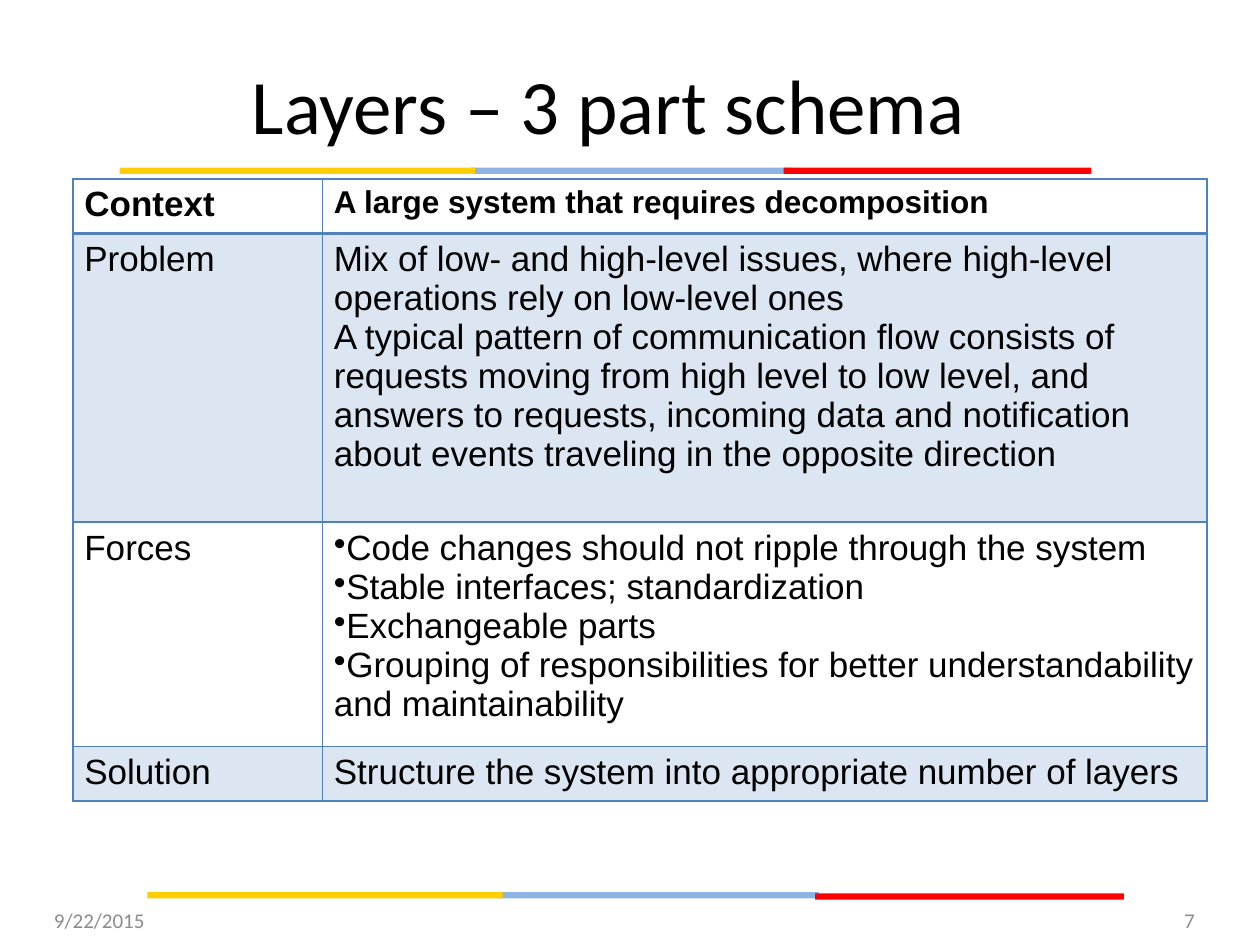
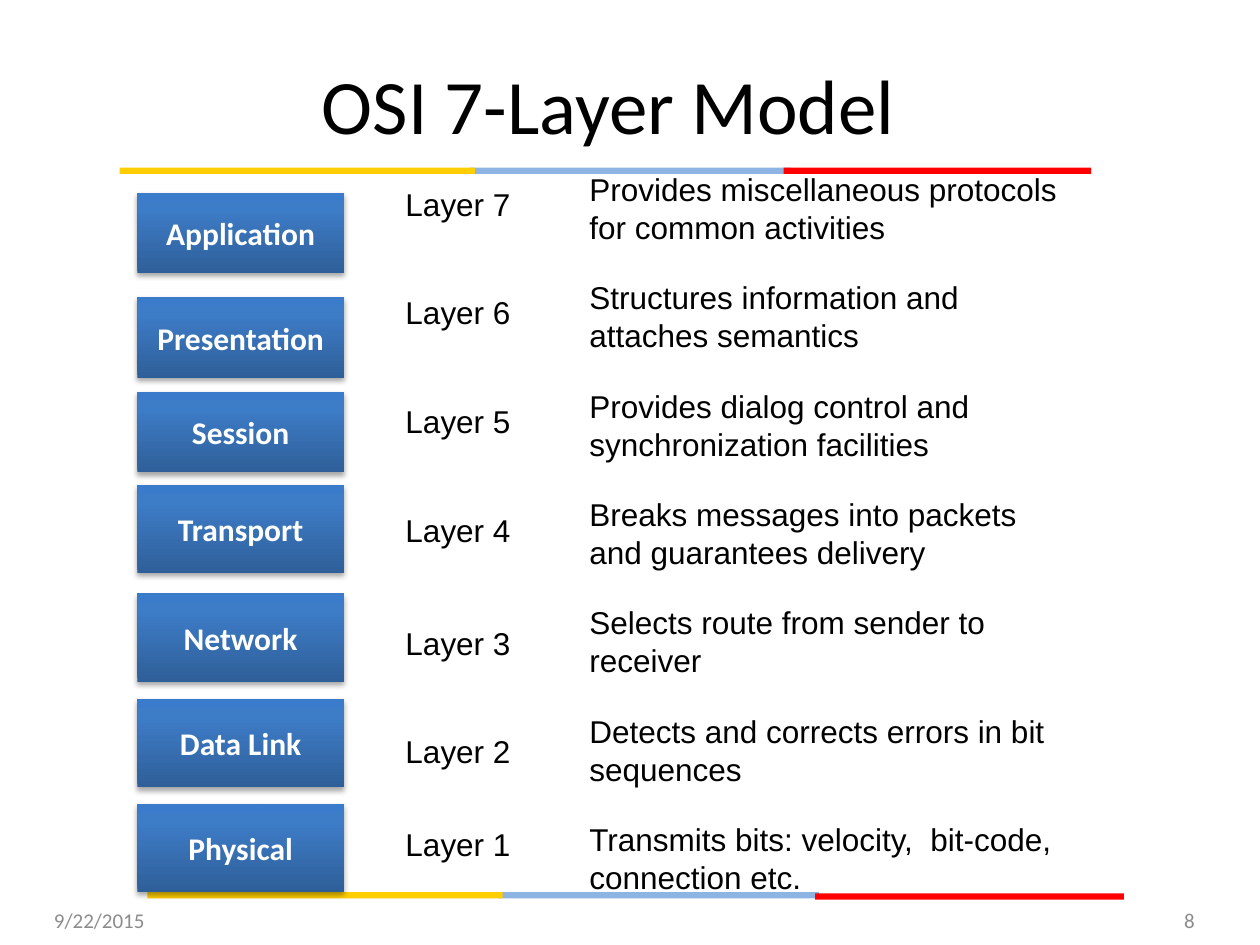
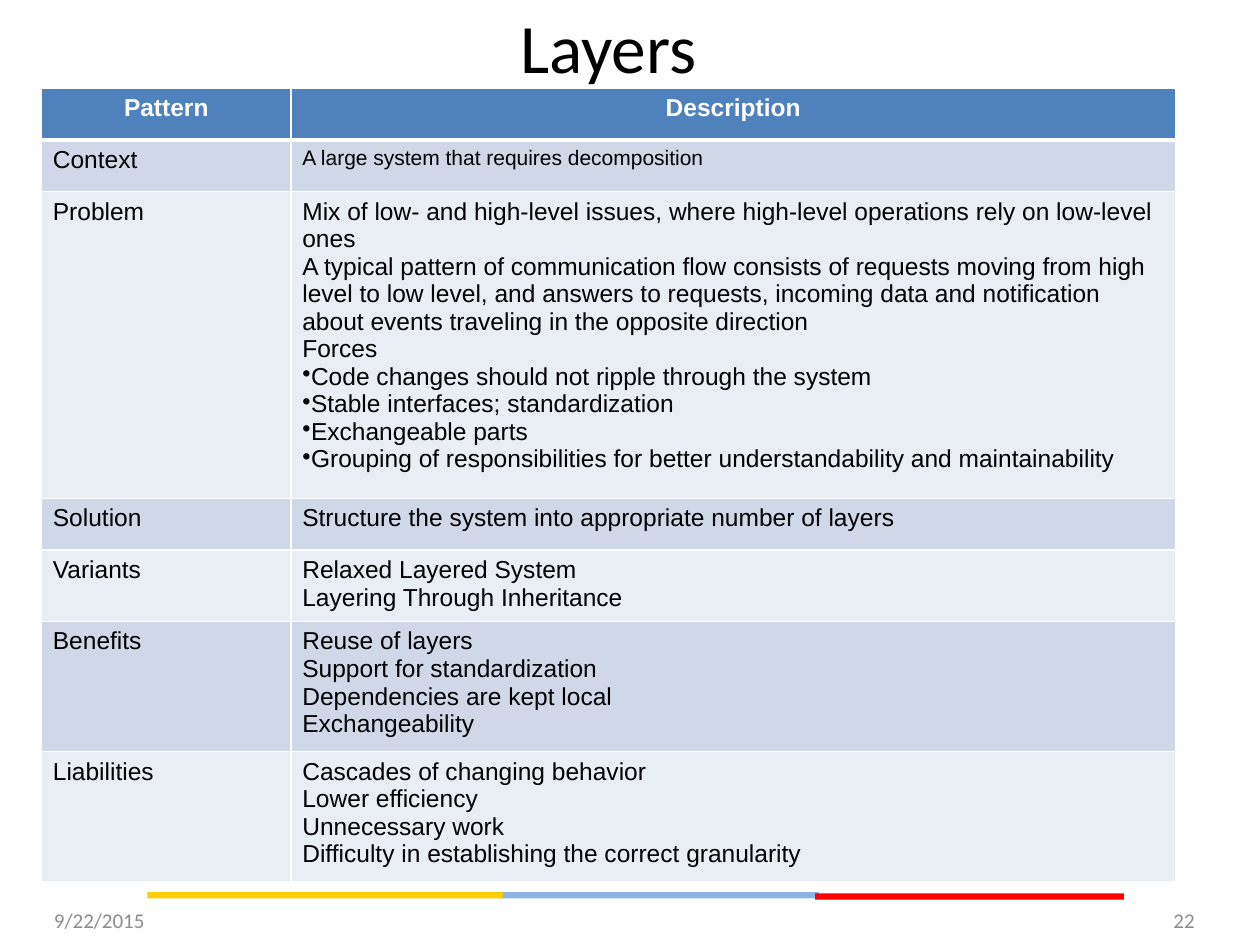
"""Build three slides on the Layers pattern and the OSI model."""
from pptx import Presentation
from pptx import util as u
from pptx.dml.color import RGBColor
from pptx.enum import shapes, text
from pptx.oxml import parse_xml
from pptx.oxml.ns import nsdecls

PX = 9144
COLORS = {
    "black": "000000", "white": "FFFFFF", "gray": "8C8C8C",
    "yellow": "FFCE00", "sky": "8EB4E3", "red": "FF0000",
    "blue": "4F81BD", "tint": "DCE6F2", "band": "D0D8E8", "pale": "E9EDF4",
    "dark": "2F5F99", "middle": "3D7CC7", "light": "3A7CCB",
}
ALIGN = text.PP_ALIGN
MIDDLE = text.MSO_ANCHOR.MIDDLE
TITLE = {"name": "Calibri", "size": 44, "align": ALIGN.CENTER}
FOOTER = {"name": "Calibri", "size": 12, "color": "gray"}
BODY = {"name": "Arial", "size": 18}
LAYER = {"name": "Calibri", "size": 18, "bold": True, "color": "white", "align": ALIGN.CENTER}

TOP_BAND = [("sky", 373, 133, 255), ("red", 622, 133, 244), ("yellow", 95, 133, 282)]
BOTTOM_BAND = [("sky", 395, 708, 255), ("red", 647, 709, 245), ("yellow", 117, 708, 282)]

CONTEXT = "A large system that requires decomposition"
PROBLEM = [
    "Mix of low- and high-level issues, where high-level operations rely on low-level ones",
    "A typical pattern of communication flow consists of requests moving from high level to low level, "
    "and answers to requests, incoming data and notification about events traveling in the opposite direction",
]
FORCES = [
    "•Code changes should not ripple through the system",
    "•Stable interfaces; standardization",
    "•Exchangeable parts",
    "•Grouping of responsibilities for better understandability and maintainability",
]
SOLUTION = "Structure the system into appropriate number of layers"

SLIDES = [
    {"title": "Layers – 3 part schema", "number": "7", "title_box": (33, 31, 900, 103),
     "bands": TOP_BAND + BOTTOM_BAND},
    {"title": "OSI 7-Layer Model", "number": "8", "title_box": (33, 31, 900, 103),
     "bands": TOP_BAND + BOTTOM_BAND},
    {"title": "Layers", "number": "22", "title_box": (33, 8, 900, 56),
     "bands": BOTTOM_BAND, "title_size": 39.6},
]
TABLES = [
    {"slide": 0, "left": 58, "top": 142, "border": "blue", "header_line": 2, "size": 20,
     "fills": [None, "tint"], "header": {"bold": True}, "small": (0, 18),
     "rows": [
         (41, "Context", [CONTEXT]),
         (229, "Problem", PROBLEM),
         (178, "Forces", FORCES),
         (41, "Solution", [SOLUTION]),
     ]},
    {"slide": 2, "left": 33, "top": 70, "border": "white", "header_line": 3, "size": 14,
     "fills": ["pale", "band"], "small": (1, 12),
     "header": {"bold": True, "color": "white", "align": ALIGN.CENTER, "fill": "blue"},
     "rows": [
         (41, "Pattern", ["Description"]),
         (41, "Context", [CONTEXT]),
         (228, "Problem", PROBLEM + ["Forces"] + FORCES),
         (41, "Solution", [SOLUTION]),
         (54, "Variants", ["Relaxed Layered System", "Layering Through Inheritance"]),
         (97, "Benefits", ["Reuse of layers", "Support for standardization",
                           "Dependencies are kept local", "Exchangeability"]),
         (97, "Liabilities", ["Cascades of changing behavior", "Lower efficiency", "Unnecessary work",
                              "Difficulty in establishing the correct granularity"]),
     ]},
]
OSI_LAYERS = [
    ("Application", 153, 64, 142, 401, "Provides miscellaneous protocols for common activities"),
    ("Presentation", 236, 64, 228, 362, "Structures information and attaches semantics"),
    ("Session", 311, 64, 314, 378, "Provides dialog control and synchronization facilities"),
    ("Transport", 385, 70, 401, 370, "Breaks messages into packets and guarantees delivery"),
    ("Network", 471, 70, 490, 370, "Selects route from sender to receiver"),
    ("Data Link", 555, 70, 576, 386, "Detects and corrects errors in bit sequences"),
    ("Physical", 638, 70, 650, 417, "Transmits bits: velocity,  bit-code, connection etc."),
]


def write(frame, lines, style):
    """Fill a text frame, turning a leading • into a real bullet."""
    for index, line in enumerate(lines):
        paragraph = frame.add_paragraph() if index else frame.paragraphs[0]
        paragraph.alignment = style.get("align", ALIGN.LEFT)
        if line.startswith("•"):
            properties = paragraph._p.get_or_add_pPr()
            properties.set("marL", "0")
            properties.set("indent", "0")
            properties.append(parse_xml(f'<a:buChar {nsdecls("a")} char="•"/>'))
        run = paragraph.add_run()
        run.text = line.lstrip("•")
        values = {"name": style["name"], "size": u.Pt(style["size"]), "bold": style.get("bold", False)}
        for key, value in values.items():
            setattr(run.font, key, value)
        run.font.color.rgb = RGBColor.from_string(COLORS[style.get("color", "black")])


def add_text(slide, box, line, style, wrap=True, anchor=text.MSO_ANCHOR.TOP):
    """Add a text box holding one line of copy."""
    frame = slide.shapes.add_textbox(*(value * PX for value in box)).text_frame
    frame.word_wrap = wrap
    frame.vertical_anchor = anchor
    write(frame, [line], style)


presentation = Presentation()
presentation.slide_width = 1000 * PX
presentation.slide_height = 750 * PX

for page in SLIDES:
    slide = presentation.slides.add_slide(presentation.slide_layouts[6])
    for color, left, top, width in page["bands"]:
        band = slide.shapes.add_shape(shapes.MSO_SHAPE.RECTANGLE, left * PX, top * PX, width * PX, 5 * PX)
        band.shadow.inherit = False
        band.fill.solid()
        band.fill.fore_color.rgb = RGBColor.from_string(COLORS[color])
        band.line.fill.background()
    title_style = {**TITLE, "size": page.get("title_size", TITLE["size"])}
    add_text(slide, page["title_box"], page["title"], title_style, anchor=MIDDLE)
    add_text(slide, (33, 710, 233, 40), "9/22/2015", FOOTER, anchor=MIDDLE)
    add_text(slide, (725, 710, 233, 40), page["number"], {**FOOTER, "align": ALIGN.RIGHT}, anchor=MIDDLE)

for plan in TABLES:
    rows = plan["rows"]
    height = sum(row[0] for row in rows)
    table = presentation.slides[plan["slide"]].shapes.add_table(
        len(rows), 2, plan["left"] * PX, plan["top"] * PX, 900 * PX, height * PX).table
    table.horz_banding = False
    table.first_row = False
    for column, width in zip(table.columns, (198, 702)):
        column.width = width * PX
    for row_index, (row_height, label, lines) in enumerate(rows):
        table.rows[row_index].height = row_height * PX
        style = {**BODY, "size": plan["size"]}
        if row_index == 0:
            style.update(plan["header"])
        for column_index, content in enumerate(([label], lines)):
            cell = table.cell(row_index, column_index)
            cell.margin_left = cell.margin_right = 9 * PX
            cell.margin_top = cell.margin_bottom = 5 * PX
            if (row_index, column_index) == (plan["small"][0], 1):
                style["size"] = plan["small"][1]
            write(cell.text_frame, content, style)
            for side in "LRTB":
                heavy = (row_index, side) in ((0, "B"), (1, "T"))
                weight = u.Pt(plan["header_line"] if heavy else 1)
                cell._tc.get_or_add_tcPr().append(parse_xml(
                    f'<a:ln{side} {nsdecls("a")} w="{weight}"><a:solidFill>'
                    f'<a:srgbClr val="{COLORS[plan["border"]]}"/></a:solidFill></a:ln{side}>'))
            fill = style.get("fill", plan["fills"][row_index % 2])
            if fill:
                cell.fill.solid()
                cell.fill.fore_color.rgb = RGBColor.from_string(COLORS[fill])
            else:
                cell.fill.background()

osi_slide = presentation.slides[1]
stops = "".join(f'<a:gs pos="{position}"><a:srgbClr val="{COLORS[color]}"/></a:gs>'
                for position, color in ((0, "dark"), (80000, "middle"), (100000, "light")))
GRADIENT = f'<a:gradFill {nsdecls("a")}><a:gsLst>{stops}</a:gsLst><a:lin ang="16200000" scaled="0"/></a:gradFill>'
SHADOW = (f'<a:effectLst {nsdecls("a")}><a:outerShdw blurRad="40000" dist="23000" dir="5400000" rotWithShape="0">'
          f'<a:srgbClr val="{COLORS["black"]}"><a:alpha val="35000"/></a:srgbClr></a:outerShdw></a:effectLst>')
for index, (name, top, height, label_top, width, description) in enumerate(OSI_LAYERS):
    layer = osi_slide.shapes.add_shape(shapes.MSO_SHAPE.RECTANGLE, 109 * PX, top * PX, 164 * PX, height * PX)
    layer.line.fill.background()
    layer._element.spPr.insert(2, parse_xml(GRADIENT))
    layer._element.spPr.append(parse_xml(SHADOW))
    layer.text_frame.vertical_anchor = MIDDLE
    write(layer.text_frame, [name], LAYER)
    add_text(osi_slide, (312, label_top, 104, 40), f"Layer {7 - index}", BODY, wrap=False)
    add_text(osi_slide, (458, 130 + 86 * index, width, 71), description, BODY)

presentation.save("out.pptx")
